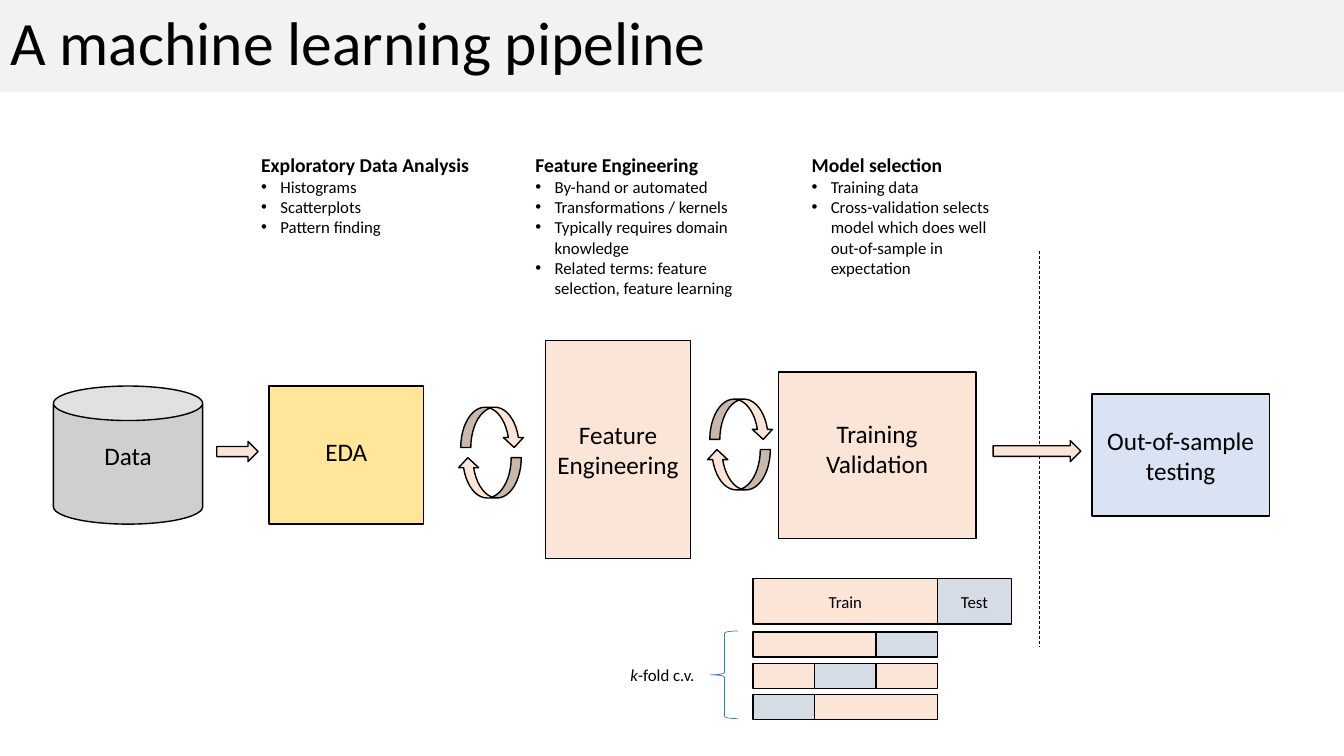
from lxml import etree
from pptx import Presentation
from pptx.dml.color import RGBColor
from pptx.enum.dml import MSO_LINE
from pptx.enum.shapes import MSO_CONNECTOR, MSO_SHAPE
from pptx.enum.text import MSO_ANCHOR, MSO_AUTO_SIZE, PP_ALIGN
from pptx.oxml.ns import qn
from pptx.util import Pt

PX = 9144
RECT = MSO_SHAPE.RECTANGLE
CAN = MSO_SHAPE.CAN
RIGHT_ARROW = MSO_SHAPE.RIGHT_ARROW
CURVED_ARROW = MSO_SHAPE.CURVED_DOWN_ARROW
LEFT_BRACE = MSO_SHAPE.LEFT_BRACE
STRAIGHT = MSO_CONNECTOR.STRAIGHT
DASH = MSO_LINE.DASH
MIDDLE, TOP = MSO_ANCHOR.MIDDLE, MSO_ANCHOR.TOP
LEFT, CENTER = PP_ALIGN.LEFT, PP_ALIGN.CENTER
NO_FIT = MSO_AUTO_SIZE.NONE

THEME = {
    "font": "Calibri",
    "ink": RGBColor.from_string("000000"),
    "band": RGBColor.from_string("F2F2F2"),
    "data": RGBColor.from_string("D0CECE"),
    "explore": RGBColor.from_string("FFE699"),
    "train": RGBColor.from_string("FBE5D6"),
    "held_out": RGBColor.from_string("D6DCE5"),
    "final": RGBColor.from_string("DAE3F3"),
    "brace": RGBColor.from_string("4472C4"),
    "title_size": 44,
    "stage_size": 18,
    "heading_size": 14,
    "note_size": 12,
}


def style_font(font, size, **extra):
    values = {"name": THEME["font"], "size": Pt(THEME[size]), "bold": False, **extra}
    for name, value in values.items():
        setattr(font, name, value)
    font.color.rgb = THEME["ink"]


def add_block(kind, area, fill, label="", size="stage_size", lift=0):
    block = page.shapes.add_shape(kind, *[value * PX for value in area])
    block.shadow.inherit = False
    block.fill.solid()
    block.fill.fore_color.rgb = THEME[fill]
    block.line.color.rgb = THEME["ink"]
    block.line.width = Pt(1)
    if label:
        frame = block.text_frame
        frame.text = label
        frame.word_wrap = False
        frame.vertical_anchor = MIDDLE
        frame.margin_bottom += 2 * lift * PX
        for para in frame.paragraphs:
            para.alignment = CENTER
            style_font(para.font, size)
    return block


deck = Presentation()
deck.slide_width, deck.slide_height = 1333 * PX, 750 * PX
page = deck.slides.add_slide(deck.slide_layouts[4])
title, *bodies, spare = page.placeholders
spare.element.getparent().remove(spare.element)

notes = [
    ((249, 147, 239, 94), "Exploratory Data Analysis",
     ["Histograms", "Scatterplots", "Pattern finding"]),
    ((521, 147, 243, 155), "Feature Engineering",
     ["By-hand or automated", "Transformations / kernels",
      "Typically requires domain knowledge",
      "Related terms: feature selection, feature learning"]),
    ((795, 147, 207, 135), "Model selection",
     ["Training data",
      "Cross-validation selects model which does well out-of-sample in expectation"]),
]
areas = [(0, 0, 1333, 91)] + [area for area, heading, items in notes]
for holder, area in zip([title, *bodies], areas):
    for name, value in zip(("left", "top", "width", "height"), area):
        setattr(holder, name, value * PX)
    holder.text_frame.auto_size = NO_FIT
    holder.text_frame.word_wrap = True
    holder.text_frame.vertical_anchor = TOP

title.fill.solid()
title.fill.fore_color.rgb = THEME["band"]
title.text_frame.vertical_anchor = MIDDLE
title.text_frame.text = "A machine learning pipeline"
para = title.text_frame.paragraphs[0]
para.alignment = LEFT
para.line_spacing = 0.9
style_font(para.font, "title_size")

for body, (area, heading, items) in zip(bodies, notes):
    body.text_frame.text = "\n".join([heading, *items])
    for index, para in enumerate(body.text_frame.paragraphs):
        para.alignment = LEFT
        para.space_before = Pt(0)
        properties = para._p.get_or_add_pPr()
        indent = 19 * PX if index else 0
        properties.set("marL", str(indent))
        properties.set("indent", str(-indent))
        if index:
            etree.SubElement(properties, qn("a:buFont")).set("typeface", "Arial")
            etree.SubElement(properties, qn("a:buChar")).set("char", "•")
            style_font(para.font, "note_size")
        else:
            etree.SubElement(properties, qn("a:buNone"))
            style_font(para.font, "heading_size", bold=True)

divider = page.shapes.add_connector(STRAIGHT, 1031 * PX, 249 * PX, 1031 * PX, 642 * PX)
divider.line.color.rgb = THEME["ink"]
divider.line.width = Pt(0.5)
divider.line.dash_style = DASH
etree.SubElement(divider.element.spPr, qn("a:effectLst"))

stages = [
    (CAN, (53, 383, 148, 137), "data", "Data", 8),
    (RECT, (267, 383, 153, 137), "explore", "EDA", 4),
    (RECT, (541, 338, 144, 216), "train", "Feature\nEngineering", 0),
    (RECT, (772, 369, 196, 165), "train", "Training\nValidation", 7),
    (RECT, (1083, 391, 176, 121), "final", "Out-of-sample\ntesting", 0),
]
for kind, area, fill, label, lift in stages:
    add_block(kind, area, fill, label, lift=lift)

for area in [(215, 438, 41, 20), (985, 437, 87, 21)]:
    add_block(RIGHT_ARROW, area, "train")

for left, top in [(457, 404), (704, 396)]:
    add_block(CURVED_ARROW, (left, top, 63, 40), "train")
    back_arrow = add_block(CURVED_ARROW, (left - 3, top + 50, 63, 40), "train")
    back_arrow.rotation = 180

split_left, split_width, fold_count = 747, 183, 3
add_block(RECT, (split_left, 574, split_width, 45), "train", "Train", "note_size")
add_block(RECT, (split_left + split_width, 574, 73, 45), "held_out", "Test", "note_size")

fold_width = split_width // fold_count
for row in range(fold_count):
    held = fold_count - 1 - row
    parts = [(0, held, "train"), (held, held + 1, "held_out"),
             (held + 1, fold_count, "train")]
    for start, end, fill in parts:
        if end > start:
            left = split_left + start * fold_width
            add_block(RECT, (left, 627 + 31 * row, (end - start) * fold_width, 25), fill)

brace = add_block(LEFT_BRACE, (705, 626, 27, 87), "train")
brace.fill.background()
brace.line.color.rgb = THEME["brace"]
brace.line.width = Pt(0.5)

fold_label = page.shapes.add_textbox(614 * PX, 655 * PX, 86 * PX, 30 * PX)
fold_label.text_frame.word_wrap = False
para = fold_label.text_frame.paragraphs[0]
para.alignment = CENTER
for text, italic in [("k", True), ("-fold c.v.", False)]:
    span = para.add_run()
    span.text = text
    style_font(span.font, "note_size", italic=italic)

deck.save("out.pptx")
